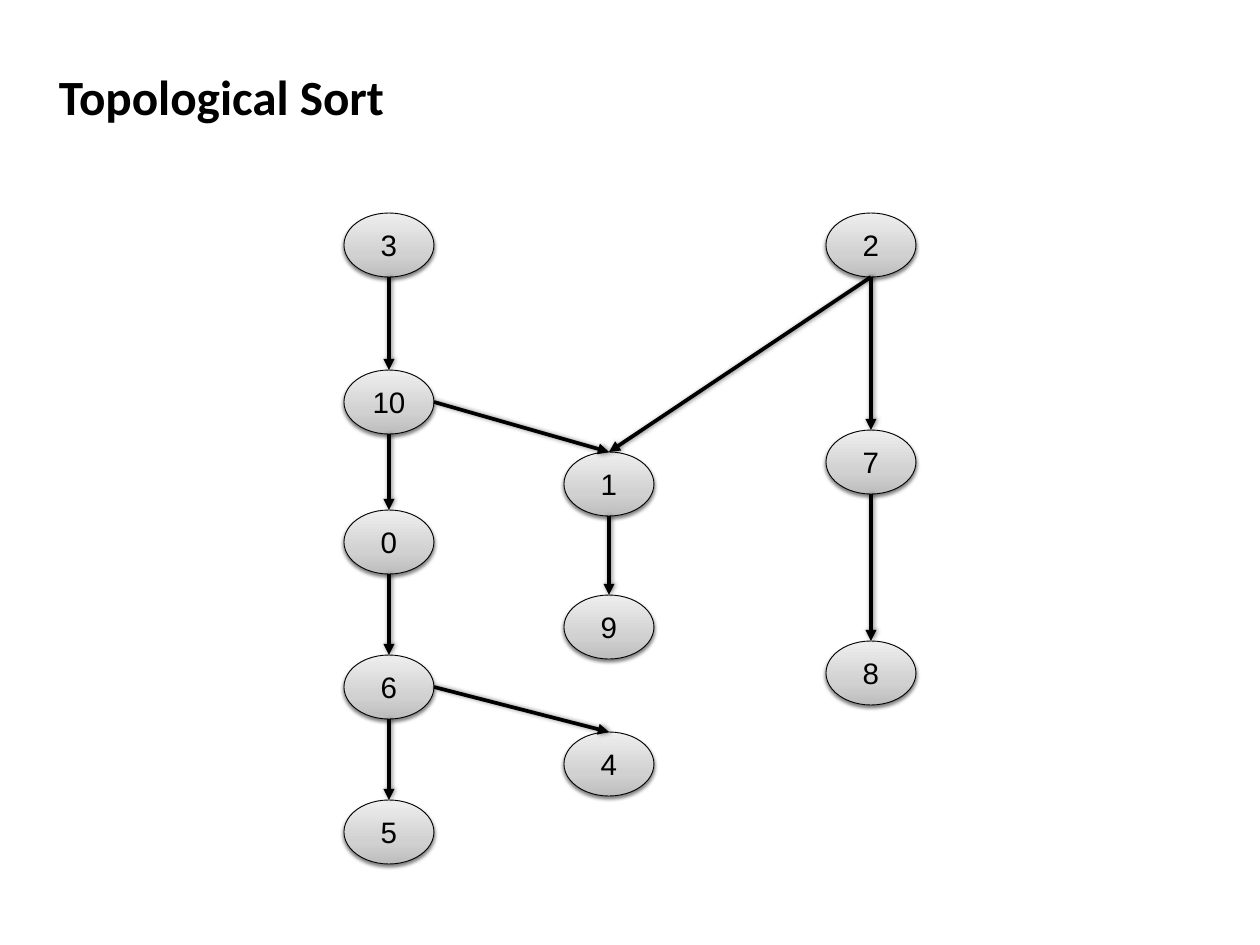
from copy import deepcopy

from lxml import etree
from pptx import Presentation
from pptx import util as u
from pptx.dml.color import RGBColor
from pptx.enum import shapes, text
from pptx.oxml.ns import qn

TITLE = "Topological Sort"
# Column left edge -> (label, top) of each node, in px
COLUMNS = {
    344: [("3", 213), ("10", 370), ("0", 510), ("6", 655), ("5", 800)],
    564: [("1", 452), ("9", 595), ("4", 732)],
    826: [("2", 213), ("7", 430), ("8", 641)],
}
# Every arrow ends at the top of its target
EDGES = [
    ("3", "10", "bottom"), ("10", "0", "bottom"), ("0", "6", "bottom"),
    ("6", "5", "bottom"), ("10", "1", "right"), ("6", "4", "right"),
    ("1", "9", "bottom"), ("2", "1", "bottom"), ("2", "7", "bottom"),
    ("7", "8", "bottom"),
]
ELLIPSE_SITES = {"bottom": 4, "right": 6}
NODE_WIDTH, NODE_HEIGHT = 90, 64
INSET = 5

BLACK = RGBColor(0x00, 0x00, 0x00)
GRADIENT = [
    (0, RGBColor(0xBD, 0xBD, 0xBD)),
    (0.35, RGBColor(0xD1, 0xD1, 0xD1)),
    (1, RGBColor(0xEE, 0xEE, 0xEE)),
]


def px(length):
    return u.Emu(length * 10320)


def add_child(parent, tag, **attributes):
    return etree.SubElement(parent, qn(tag), attributes)


def add_shadow(shape, blur, distance, degrees):
    effects = add_child(shape._element.spPr, "a:effectLst")
    shadow = add_child(effects, "a:outerShdw", blurRad=str(u.Pt(blur)),
                       dist=str(u.Pt(distance)), dir=str(degrees * 60000),
                       algn="ctr", rotWithShape="0")
    color = add_child(shadow, "a:srgbClr", val=str(BLACK))
    add_child(color, "a:alpha", val="50000")


def write(shape, words, font, size, bold, align):
    frame = shape.text_frame
    frame.word_wrap = True
    frame.vertical_anchor = text.MSO_ANCHOR.MIDDLE
    frame.margin_left = frame.margin_right = px(INSET)
    frame.margin_top = frame.margin_bottom = px(INSET)
    para = frame.paragraphs[0]
    para.alignment = align
    span = para.add_run()
    span.text = words
    span.font.name, span.font.size, span.font.bold = font, u.Pt(size), bold
    span.font.color.rgb = BLACK


def add_node(page, label, left, top):
    node = page.shapes.add_shape(shapes.MSO_SHAPE.OVAL, px(left), px(top),
                                 px(NODE_WIDTH), px(NODE_HEIGHT))
    node.fill.gradient()
    node.fill.gradient_angle = 90
    stop_list = node._element.spPr.find(".//" + qn("a:gsLst"))
    stop_list.insert(1, deepcopy(stop_list[0]))
    for stop, (position, color) in zip(node.fill.gradient_stops, GRADIENT):
        stop.position = position
        stop.color.rgb = color
    node.line.color.rgb = BLACK
    node.line.width = u.Pt(0.75)
    add_shadow(node, 3, 2, 90)
    write(node, label, "Arial", 24, False, text.PP_ALIGN.CENTER)
    return node


def add_edge(page, source, target, side):
    if side == "right":
        start = source.left + source.width, source.top + source.height // 2
    else:
        start = source.left + source.width // 2, source.top + source.height
    end = target.left + target.width // 2, target.top
    edge = page.shapes.add_connector(shapes.MSO_CONNECTOR.STRAIGHT, *start, *end)
    # An ellipse has eight connection sites, so its start is joined in XML
    joints = edge._element.find(".//" + qn("p:cNvCxnSpPr"))
    add_child(joints, "a:stCxn", id=str(source.shape_id),
              idx=str(ELLIPSE_SITES[side]))
    edge.end_connect(target, 0)
    edge.line.color.rgb = BLACK
    edge.line.width = u.Pt(3)
    add_child(edge.line._get_or_add_ln(), "a:tailEnd", type="triangle")
    add_shadow(edge, 4, 1, 0)


def main():
    deck = Presentation()
    deck.slide_width, deck.slide_height = px(1260), px(945)
    page = deck.slides.add_slide(deck.slide_layouts[6])

    # Title
    title = page.shapes.add_textbox(px(54), px(43), px(1152), px(105))
    write(title, TITLE, "Calibri", 40, True, text.PP_ALIGN.LEFT)

    # Graph
    nodes = {label: add_node(page, label, left, top)
             for left, column in COLUMNS.items() for label, top in column}
    for source, target, side in EDGES:
        add_edge(page, nodes[source], nodes[target], side)

    deck.save("out.pptx")


if __name__ == "__main__":
    main()
